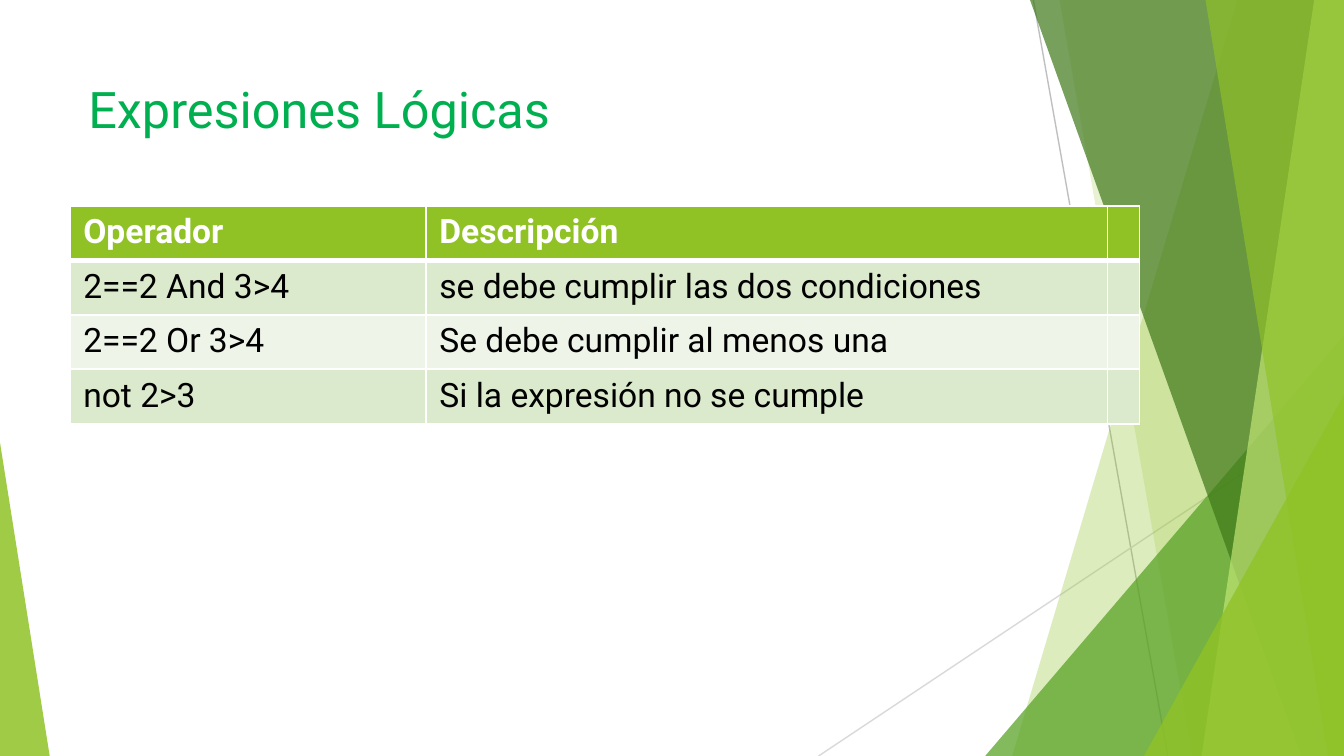
"""Build the slide on logical expressions: a faceted green backdrop, a title and a table."""
import lxml.etree
import pptx
import pptx.dml.color
import pptx.enum.shapes
import pptx.enum.text
import pptx.oxml.ns
import pptx.util
from pptx.util import Cm

COLOURS = {
    "white": "FFFFFF", "black": "000000", "title": "00B050",
    "lime": "90C226", "pale lime": "C0E474", "green": "54A021", "forest": "3F7819",
    "band": "DBE9CD", "light band": "EEF4E8", "grey": "BFBFBF", "light grey": "D9D9D9",
}
qn = pptx.oxml.ns.qn


def write(frame, text, size=18, colour="black", bold=False):
    paragraph = frame.paragraphs[0]
    paragraph.font.size = pptx.util.Pt(size)
    run = paragraph.add_run()
    run.text = text
    run.font.name = "Roboto"
    run.font.size = pptx.util.Pt(size)
    run.font.bold = bold
    run.font.color.rgb = pptx.dml.color.RGBColor.from_string(COLOURS[colour])


def paint(shape, colour, opacity):
    shape.shadow.inherit = False
    shape.line.fill.background()
    shape.fill.solid()
    shape.fill.fore_color.rgb = pptx.dml.color.RGBColor.from_string(COLOURS[colour])
    tint = shape.fill._xPr.find(qn("a:solidFill"))[0]
    lxml.etree.SubElement(tint, qn("a:alpha"), val=str(opacity * 1000))


presentation = pptx.Presentation()
presentation.slide_width, presentation.slide_height = Cm(25.4), Cm(14.29)
slide = presentation.slides.add_slide(presentation.slide_layouts[6])
shapes = slide.shapes
right, bottom = 25.4, 14.29

for x1, y1, x2, y2, colour in [
    (19.53, 0, 22.07, bottom, "grey"),
    (right, 7.67, 15.47, bottom, "light grey"),
]:
    line = shapes.add_connector(
        pptx.enum.shapes.MSO_CONNECTOR.STRAIGHT, Cm(x1), Cm(y1), Cm(x2), Cm(y2))
    line.line.width = pptx.util.Pt(0.75)
    line.line.color.rgb = pptx.dml.color.RGBColor.from_string(COLOURS[colour])
    lxml.etree.SubElement(line._element.spPr, qn("a:effectLst"))

facets = [
    ("wing", 23.39, 19.13, "lime", 30),
    ("wing", 20.02, 22.53, "lime", 20),
    ("triangle", 18.62, 6.35, 6.78, 1, "green", 72),
    ("wing", 19.46, 24.59, "forest", 70),
    ("wing", 24.84, 22.71, "pale lime", 70),
    ("wing", 22.78, 25.1, "lime", 65),
    ("triangle", 21.62, 7.47, 3.78, 1, "lime", 80),
    ("triangle", 0, 8.36, 0.94, 0, "lime", 85),
]
for kind, *geometry, colour, opacity in facets:
    if kind == "wing":
        top_x, bottom_x = geometry
        outline = shapes.build_freeform(Cm(top_x), Cm(-0.02))
        outline.add_line_segments(
            [(Cm(right), Cm(-0.02)), (Cm(right), Cm(bottom)), (Cm(bottom_x), Cm(bottom))])
        facet = outline.convert_to_shape()
    else:
        left, top, width, apex = geometry
        facet = shapes.add_shape(
            pptx.enum.shapes.MSO_SHAPE.ISOSCELES_TRIANGLE,
            Cm(left), Cm(top), Cm(width), Cm(bottom - top))
        facet.adjustments[0] = apex
    paint(facet, colour, opacity)

title = shapes.add_textbox(Cm(1.42), Cm(1.27), Cm(17.91), Cm(2.74))
title.text_frame.word_wrap = True
title.text_frame.margin_top = Cm(0.2)
title.text_frame.vertical_anchor = pptx.enum.text.MSO_ANCHOR.TOP
write(title.text_frame, "Expresiones Lógicas", size=27, colour="title")

rows = [
    ("Operador", "Descripción", ""),
    ("2==2 And 3>4", "se debe cumplir las dos condiciones", ""),
    ("2==2 Or 3>4", "Se debe cumplir al menos una", ""),
    ("not 2>3", "Si la expresión no se cumple", ""),
]
widths = [6.73, 12.88, 0.58]
row_height = 1.03
table = shapes.add_table(
    len(rows), len(widths), Cm(1.32), Cm(3.89),
    Cm(sum(widths)), Cm(row_height * len(rows))).table
for column, width in zip(table.columns, widths):
    column.width = Cm(width)

for row_index, texts in enumerate(rows):
    table.rows[row_index].height = Cm(row_height)
    header = row_index == 0
    background = "lime" if header else ("light band", "band")[row_index % 2]
    borders = {"L": 1, "R": 1, "T": 3 if row_index == 1 else 1, "B": 3 if header else 1}
    for column_index, text in enumerate(texts):
        cell = table.cell(row_index, column_index)
        properties = cell._tc.get_or_add_tcPr()
        for side, points in borders.items():
            border = lxml.etree.SubElement(
                properties, qn(f"a:ln{side}"), w=str(pptx.util.Pt(points)))
            stroke = lxml.etree.SubElement(border, qn("a:solidFill"))
            lxml.etree.SubElement(stroke, qn("a:srgbClr"), val=COLOURS["white"])
        cell.fill.solid()
        cell.fill.fore_color.rgb = pptx.dml.color.RGBColor.from_string(COLOURS[background])
        if text:
            write(cell.text_frame, text, colour="white" if header else "black", bold=header)

presentation.save("out.pptx")
